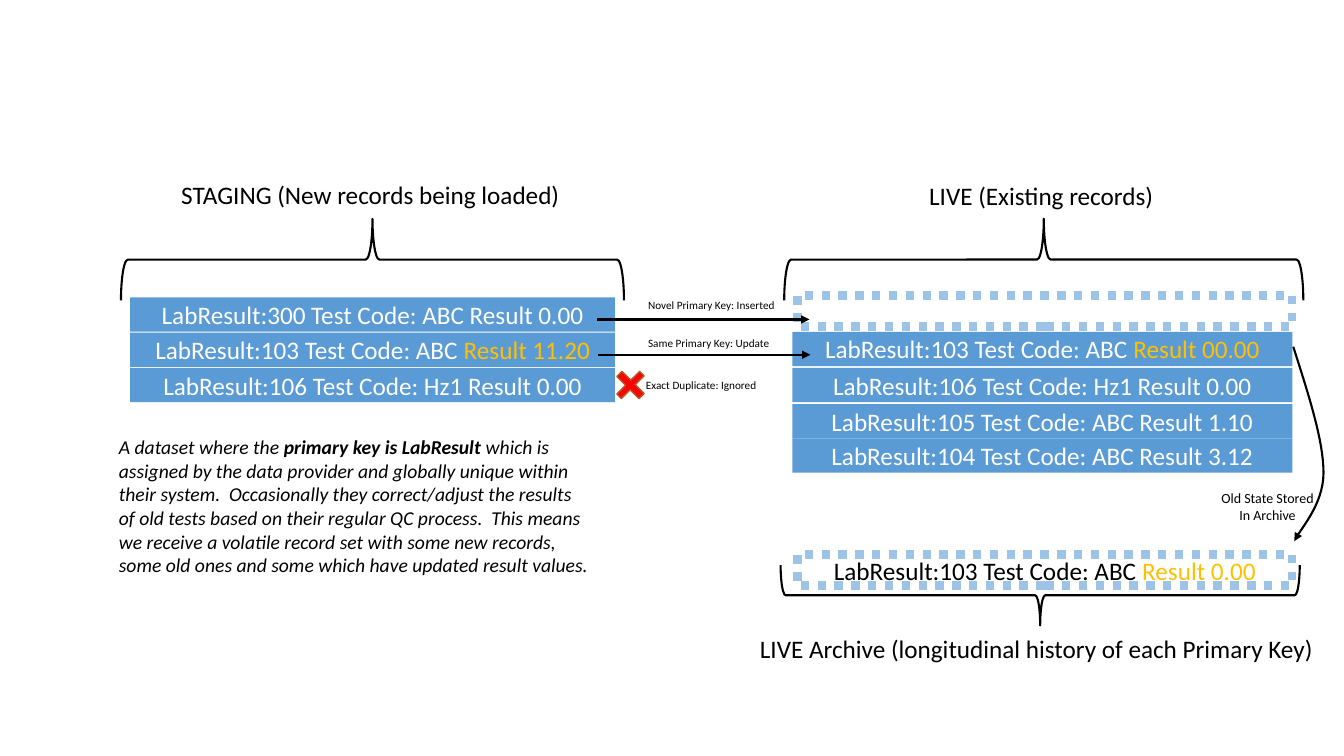
from dataclasses import dataclass
from typing import NamedTuple, Optional

from lxml import etree
from pptx import Presentation
from pptx import util as u
from pptx.dml import color
from pptx.enum import dml, shapes, text
from pptx.oxml import ns


# Theme: colours and type sizes
@dataclass(frozen=True)
class Theme:
    font: str = "Calibri"
    ink: str = "000000"
    paper: str = "FFFFFF"
    record: str = "5B9BD5"
    ghost: str = "9DC3E6"
    changed: str = "FFC000"
    cross: str = "FF0000"
    cross_edge: str = "AF5C24"
    heading_size: float = 18
    story_size: float = 14
    note_size: float = 10
    label_size: float = 8
    stroke: float = 1.5
    ghost_stroke: float = 6


THEME = Theme()


# Kinds of repeated element, lengths in points
class Frame(NamedTuple):
    left: float
    top: float
    width: float
    height: float

    def lengths(self) -> list:
        return [u.Pt(value) for value in self]


class Span(NamedTuple):
    words: str
    color: Optional[str] = None
    bold: bool = False


@dataclass(frozen=True)
class Record:
    frame: Frame
    spans: tuple
    ghost: bool = False


@dataclass(frozen=True)
class Brace:
    frame: Frame
    rotation: float


@dataclass(frozen=True)
class Caption:
    frame: Frame
    size: float
    lines: tuple
    italic: bool = False
    center_last: bool = False


class Arrow(NamedTuple):
    start: float
    end: float
    y: float


# Content
def staging(top: float, *spans: Span) -> Record:
    return Record(Frame(93, top, 346.3, 24.5), spans)


def live(top: float, *spans: Span) -> Record:
    return Record(Frame(566, top, 357.1, 24.5), spans)


def ghost(top: float, *spans: Span) -> Record:
    return Record(Frame(569.5, top, 353.5, 22.3), spans, ghost=True)


def line(words: str) -> tuple:
    return (Span(words),)


KEY_103 = Span("LabResult:103 Test Code: ABC ")
HZ1_106 = Span("LabResult:106 Test Code: Hz1 Result 0.00")

RECORDS = (
    ghost(211),
    live(237, KEY_103, Span("Result 00.00", THEME.changed)),
    live(262.8, HZ1_106),
    live(288.7, Span("LabResult:105 Test Code: ABC Result 1.10")),
    live(313.2, Span("LabResult:104 Test Code: ABC Result 3.12")),
    staging(212.4, Span("LabResult:300 Test Code: ABC Result 0.00")),
    staging(237.6, KEY_103, Span("Result 11.20", THEME.changed)),
    staging(262.8, HZ1_106),
    ghost(396, KEY_103, Span("Result 0.00", THEME.changed)),
)

BRACES = (
    Brace(Frame(236.9, 5.8, 58.3, 359.3), 90),
    Brace(Frame(716.4, 0, 58.3, 370.8), 90),
    Brace(Frame(721.4, 239.8, 43.2, 370.8), 270),
)

CAPTIONS = (
    Caption(Frame(122.4, 124.6, 288, 29), THEME.heading_size,
            (line("STAGING (New records being loaded)"),)),
    Caption(Frame(656.6, 125.3, 176.4, 29), THEME.heading_size,
            (line("LIVE (Existing records)"),)),
    Caption(Frame(535.7, 448.6, 414, 29), THEME.heading_size,
            (line("LIVE Archive (longitudinal history of each Primary Key)"),)),
    Caption(Frame(455.8, 209.5, 105.8, 17), THEME.label_size,
            (line("Novel Primary Key: Inserted"),)),
    Caption(Frame(455.8, 237, 102.2, 17), THEME.label_size,
            (line("Same Primary Key: Update"),)),
    Caption(Frame(454.3, 267, 94.3, 17), THEME.label_size,
            (line("Exact Duplicate: Ignored"),)),
    Caption(Frame(865.4, 346.3, 84.2, 31.5), THEME.note_size,
            (line("Old State Stored"), line("In Archive")), center_last=True),
    Caption(Frame(77.8, 307.4, 350, 126), THEME.story_size, (
        (Span("A dataset where the "),
         Span("primary key is LabResult ", bold=True), Span("which is")),
        line("assigned by the data provider and globally unique within"),
        line("their system.  Occasionally they correct/adjust the results"),
        line("of old tests based on their regular QC process.  This means"),
        line("we receive a volatile record set with some new records,"),
        line("some old ones and some which have updated result values."),
    ), italic=True),
)

ARROWS = (Arrow(426.2, 578.2, 228.2), Arrow(427, 578.9, 253.4))
CROSS = Frame(439.2, 263.5, 22.3, 23)

# Bezier segments of the curve from the live record to the archive
ARCHIVE_CURVE = (
    ((923.8, 247.7), (934.6, 281.5), (945.4, 314.6), (945.4, 337.7)),
    ((945.4, 337.7), (945.4, 361.4), (927.4, 379.4), (924.5, 386.6)),
)
CURVE_STEPS = 16


# Drawing functions
def rgb(value: str) -> color.RGBColor:
    return color.RGBColor.from_string(value)


def set_line(item, value: str, width: float) -> None:
    item.line.color.rgb = rgb(value)
    item.line.width = u.Pt(width)


def add_arrowhead(item) -> None:
    outline = item._element.spPr.find(ns.qn("a:ln"))
    etree.SubElement(outline, ns.qn("a:tailEnd"), type="triangle")


def add_spans(para, spans: tuple, size: float, ink: str, italic: bool = False) -> None:
    for span in spans:
        run = para.add_run()
        run.text = span.words
        run.font.name = THEME.font
        run.font.size = u.Pt(size)
        run.font.bold = span.bold
        run.font.italic = italic
        run.font.color.rgb = rgb(span.color or ink)


def draw_shape(page, kind, frame: Frame, fill: Optional[str] = None):
    shape = page.shapes.add_shape(kind, *frame.lengths())
    shape.shadow.inherit = False
    if fill:
        shape.fill.solid()
        shape.fill.fore_color.rgb = rgb(fill)
    else:
        shape.fill.background()
    return shape


def draw_record(page, record: Record) -> None:
    fill = None if record.ghost else THEME.record
    box = draw_shape(page, shapes.MSO_SHAPE.RECTANGLE, record.frame, fill)
    if record.ghost:
        set_line(box, THEME.ghost, THEME.ghost_stroke)
        box.line.dash_style = dml.MSO_LINE.ROUND_DOT
    else:
        box.line.fill.background()
    box.text_frame.vertical_anchor = text.MSO_ANCHOR.MIDDLE
    para = box.text_frame.paragraphs[0]
    para.alignment = text.PP_ALIGN.CENTER
    ink = THEME.ink if record.ghost else THEME.paper
    add_spans(para, record.spans, THEME.heading_size, ink)


def draw_brace(page, brace: Brace) -> None:
    shape = draw_shape(page, shapes.MSO_SHAPE.LEFT_BRACE, brace.frame)
    shape.rotation = brace.rotation
    set_line(shape, THEME.ink, THEME.stroke)


def draw_cross(page, frame: Frame) -> None:
    cross = draw_shape(page, shapes.MSO_SHAPE.CROSS, frame, THEME.cross)
    cross.adjustments[0] = 0.4
    cross.rotation = 45
    set_line(cross, THEME.cross_edge, 1)


def draw_caption(page, caption: Caption) -> None:
    frame = page.shapes.add_textbox(*caption.frame.lengths()).text_frame
    frame.word_wrap = False
    frame.auto_size = text.MSO_AUTO_SIZE.SHAPE_TO_FIT_TEXT
    for index, spans in enumerate(caption.lines):
        para = frame.add_paragraph() if index else frame.paragraphs[0]
        add_spans(para, spans, caption.size, THEME.ink, caption.italic)
    if caption.center_last:
        frame.paragraphs[-1].alignment = text.PP_ALIGN.CENTER


def draw_arrow(page, arrow: Arrow) -> None:
    y = u.Pt(arrow.y)
    connector = page.shapes.add_connector(
        shapes.MSO_CONNECTOR.STRAIGHT, u.Pt(arrow.start), y, u.Pt(arrow.end), y)
    set_line(connector, THEME.ink, THEME.stroke)
    add_arrowhead(connector)
    etree.SubElement(connector._element.spPr, ns.qn("a:effectLst"))


def bezier_point(segment: tuple, t: float) -> tuple:
    weights = ((1 - t) ** 3, 3 * t * (1 - t) ** 2, 3 * t ** 2 * (1 - t), t ** 3)
    return tuple(u.Pt(sum(w * point[axis] for w, point in zip(weights, segment)))
                 for axis in (0, 1))


def draw_curve(page, segments: tuple) -> None:
    points = [bezier_point(segment, step / CURVE_STEPS)
              for segment in segments for step in range(1, CURVE_STEPS + 1)]
    builder = page.shapes.build_freeform(*bezier_point(segments[0], 0))
    builder.add_line_segments(points, close=False)
    curve = builder.convert_to_shape()
    curve.shadow.inherit = False
    curve.fill.background()
    set_line(curve, THEME.ink, THEME.stroke)
    add_arrowhead(curve)


def main() -> None:
    deck = Presentation()
    deck.slide_width, deck.slide_height = u.Pt(960), u.Pt(540)
    page = deck.slides.add_slide(deck.slide_layouts[6])

    # Records and their braces
    for record in RECORDS:
        draw_record(page, record)
    for brace in BRACES:
        draw_brace(page, brace)

    # Captions and flow between the tables
    draw_cross(page, CROSS)
    for caption in CAPTIONS:
        draw_caption(page, caption)
    for arrow in ARROWS:
        draw_arrow(page, arrow)
    draw_curve(page, ARCHIVE_CURVE)

    deck.save("out.pptx")


if __name__ == "__main__":
    main()
